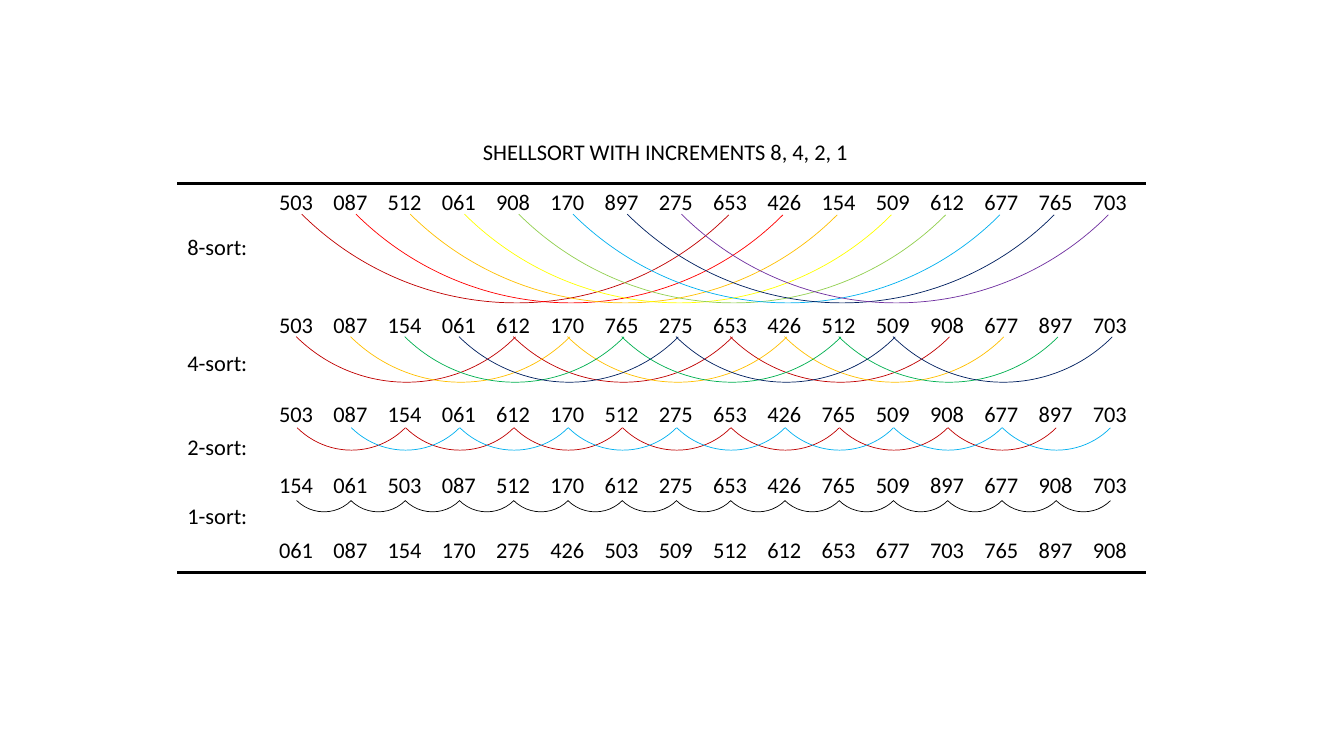
from lxml.etree import SubElement
from pptx import Presentation
from pptx.dml.color import RGBColor
from pptx.enum.shapes import MSO_CONNECTOR, MSO_SHAPE
from pptx.enum.text import MSO_AUTO_SIZE, PP_ALIGN
from pptx.oxml.ns import qn
from pptx.util import Inches, Pt

TITLE = "SHELLSORT WITH INCREMENTS 8, 4, 2, 1"
ROWS = [
    (1.82, "503 087 512 061 908 170 897 275 653 426 154 509 612 677 765 703"),
    (3.04, "503 087 154 061 612 170 765 275 653 426 512 509 908 677 897 703"),
    (3.92, "503 087 154 061 612 170 512 275 653 426 765 509 908 677 897 703"),
    (4.63, "154 061 503 087 512 170 612 275 653 426 765 509 897 677 908 703"),
    (5.27, "061 087 154 170 275 426 503 509 512 612 653 677 703 765 897 908"),
]
PASSES = [
    dict(step=8, label_top=2.26, arc_bottom=3.02, arc_width=5.96,
         colors="C00000 FF0000 FFC000 FFFF00 92D050 00B0F0 002060 7030A0"),
    dict(step=4, label_top=3.41, arc_bottom=3.8, arc_width=3.06,
         colors="C00000 FFC000 00B050 002060"),
    dict(step=2, label_top=4.25, arc_bottom=4.47, arc_width=1.51,
         colors="C00000 00B0F0"),
    dict(step=1, label_top=4.93, arc_bottom=5.08, arc_width=0.76,
         colors="000000"),
]
COUNT = 16
FIRST = 2.94
PITCH = 8.07 / (COUNT - 1)
LEFT, RIGHT = 1.76, 11.37
TEXT_H = 0.37

prs = Presentation()
prs.slide_width, prs.slide_height = Inches(13.33), Inches(7.5)
s = prs.slides.add_slide(prs.slide_layouts[6])


def color(value):
    return RGBColor.from_string(value)


def add_text(text, x, y, w, wrap=False, align=PP_ALIGN.LEFT, tab=None):
    tf = s.shapes.add_textbox(*map(Inches, (x, y, w, TEXT_H))).text_frame
    tf.word_wrap = wrap
    tf.auto_size = MSO_AUTO_SIZE.SHAPE_TO_FIT_TEXT
    p = tf.paragraphs[0]
    p.alignment = align
    r = p.add_run()
    r.text = text
    r.font.name, r.font.size = "Calibri", Pt(16)
    r.font.color.rgb = color("000000")
    if tab:
        tabs = SubElement(p._p.get_or_add_pPr(), qn("a:tabLst"))
        for i in range(1, COUNT):
            SubElement(tabs, qn("a:tab"), pos=str(Inches(i * tab)), algn="l")


def add_arc(center, bottom, width, line_color):
    height = 1.01 * width
    sp = s.shapes.add_shape(MSO_SHAPE.ARC, *map(
        Inches, (center - width / 2, bottom - height, width, height)))
    sp.rotation = 134.8
    sp.shadow.inherit = False
    sp.fill.background()
    sp.line.color.rgb = color(line_color)
    sp.line.width = Pt(0.5)


def add_rule(y):
    sp = s.shapes.add_connector(
        MSO_CONNECTOR.STRAIGHT, *map(Inches, (LEFT, y, RIGHT, y)))
    sp.line.color.rgb = color("000000")
    sp.line.width = Pt(2.25)
    SubElement(sp._element.spPr, qn("a:effectLst"))


for top, numbers in ROWS:
    add_text("\t".join(numbers.split()), FIRST - 0.27, top, 8.72,
             wrap=True, tab=PITCH)

for sort in PASSES:
    step = sort["step"]
    for group, line_color in enumerate(sort["colors"].split()):
        for i in range(group, COUNT - step, step):
            add_arc(FIRST + (i + step / 2) * PITCH,
                    sort["arc_bottom"], sort["arc_width"], line_color)
    add_text(f"{step}-sort:", LEFT, sort["label_top"], 0.81)

add_text(TITLE, 4.64, 1.32, 3.92, align=PP_ALIGN.CENTER)
for y in (1.82, 5.68):
    add_rule(y)

prs.save("out.pptx")
